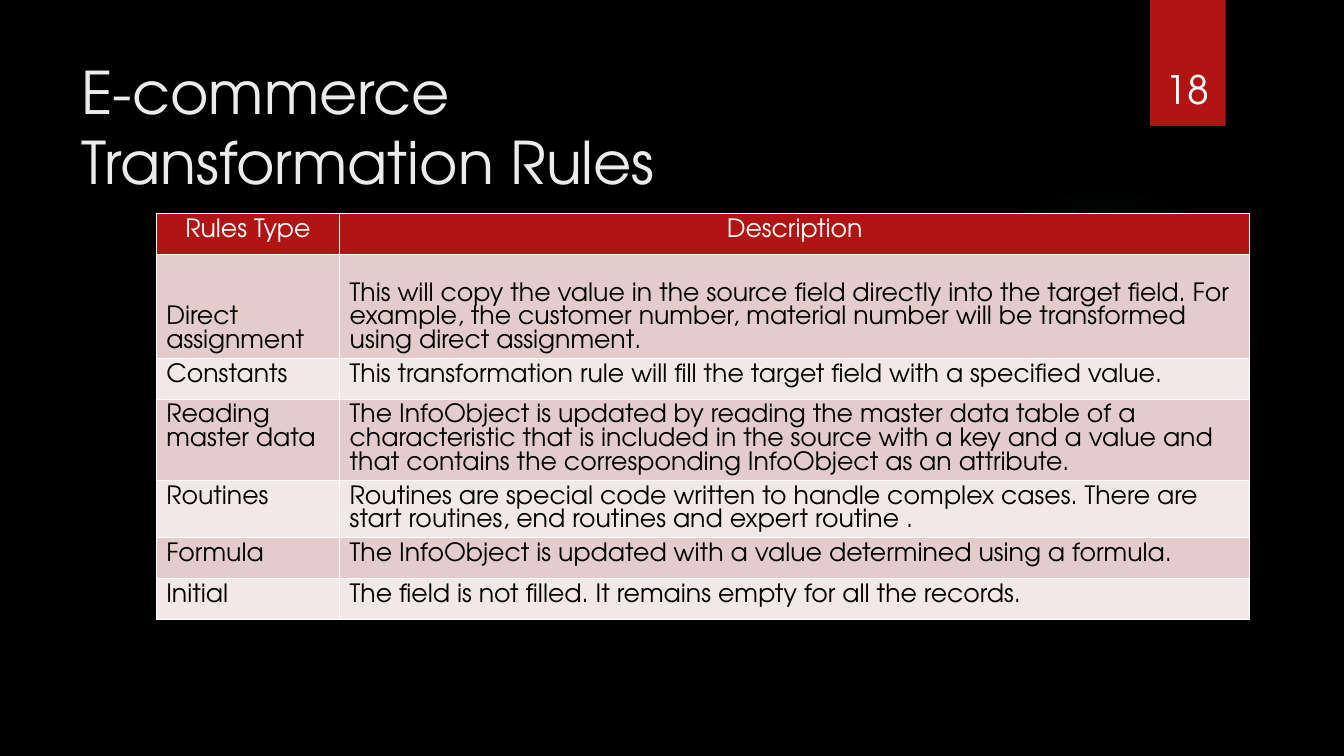
from lxml import etree
from pptx import Presentation
from pptx.dml import color
from pptx.enum import shapes, text
from pptx.oxml import ns, parse_xml
from pptx.util import Pt

FACE = "TeX Gyre Adventor"
RED, WHITE, BLACK = "B01513", "FFFFFF", "000000"
BANDS = ["E4CCCC", "F2E8E7"]
LEAD = 16.9  # line pitch in the table
TOP, LOW = text.MSO_ANCHOR.TOP, text.MSO_ANCHOR.BOTTOM
LEFT, MID = text.PP_ALIGN.LEFT, text.PP_ALIGN.CENTER

# Rule type, description, row height, anchor
RULES = [
    ("Direct assignment", "This will copy the value in the source field directly into the "
     "target field. For example, the customer number, material number will be transformed "
     "using direct assignment.", 74.4, LOW),
    ("Constants", "This transformation rule will fill the target field with a specified "
     "value.", 29.2, TOP),
    ("Reading master data", "The InfoObject is updated by reading the master data table of a "
     "characteristic that is included in the source with a key and a value and that contains "
     "the corresponding InfoObject as an attribute.", 57.9, TOP),
    ("Routines", "Routines are special code written to handle complex cases. There are "
     "start routines, end routines and expert routine .", 41, TOP),
    ("Formula", "The InfoObject is updated with a value determined using a formula.", 29.2, TOP),
    ("Initial", "The field is not filled. It remains empty for all the records.", 29.2, TOP),
]


def paint(fill, tone):
    fill.solid()
    fill.fore_color.rgb = color.RGBColor.from_string(tone)


def style(obj, form):
    for key, val in form.items():
        setattr(obj, key, val)


def write(frame, words, size, tone, align=LEFT, lead=None):
    para = frame.paragraphs[0]
    style(para, {"alignment": align, "line_spacing": Pt(lead) if lead else None})
    for i, line in enumerate(words.split("\n")):
        if i:
            para.add_line_break()
        run = para.add_run()
        style(run, {"text": line})
        style(run.font, {"name": FACE, "size": Pt(size), "bold": False})
        paint(run.font.fill, tone)


def label(slide, box, words, size, tone, align, anchor):
    frame = slide.shapes.add_textbox(*map(Pt, box)).text_frame
    style(frame, {"word_wrap": True, "vertical_anchor": anchor})
    write(frame, words, size, tone, align)


def block(slide, kind, box):
    shape = slide.shapes.add_shape(kind, *map(Pt, box))
    shape.shadow.inherit = False
    shape.line.fill.background()
    return shape


def glow(slide, box):
    """Faint round light that fades towards its rim."""
    shape = block(slide, shapes.MSO_SHAPE.OVAL, box)
    stops = "".join(
        f'<a:gs pos="{pos}000"><a:srgbClr val="50B9C1"><a:alpha val="{part}000"/>'
        "</a:srgbClr></a:gs>" for pos, part in [(0, 7), (36, 6), (69, 0)])
    shape.fill.background()
    props = shape.element.spPr
    props.replace(props.find(ns.qn("a:noFill")), parse_xml(
        f'<a:gradFill {ns.nsdecls("a")}><a:gsLst>{stops}</a:gsLst><a:path path="circle">'
        '<a:fillToRect l="50000" t="50000" r="50000" b="50000"/></a:path></a:gradFill>'))


def badge(slide, box, number):
    """Red tab with the slide number."""
    left, top, wide, high = box
    paint(block(slide, shapes.MSO_SHAPE.RECTANGLE, box).fill, RED)
    label(slide, (left - 6.3, top + 23, wide + 12.2, high - 29.5),
          number, 28, WHITE, MID, LOW)


def edge(cell):
    """White hairlines on all four sides, placed before the fill."""
    props = cell._tc.get_or_add_tcPr()
    for i, side in enumerate("LRTB"):
        line = etree.Element(ns.qn(f"a:ln{side}"), w=str(Pt(1)))
        solid = etree.SubElement(line, ns.qn("a:solidFill"))
        etree.SubElement(solid, ns.qn("a:srgbClr"), val=WHITE)
        props.insert(i, line)


def grid(slide, box, split):
    """Table of rules: red header, then rows in two tones."""
    left, top, wide, head = box
    rows = [("Rules Type", "Description", head, TOP)] + RULES
    high = sum(row[2] for row in rows)
    table = slide.shapes.add_table(len(rows), 2, *map(Pt, (left, top, wide, high))).table
    style(table, {"first_row": False, "horz_banding": False})
    for col, span in zip(table.columns, (split, wide - split)):
        col.width = Pt(span)
    for r, (*words, tall, anchor) in enumerate(rows):
        table.rows[r].height = Pt(tall)
        fill, tone, align = (BANDS[(r - 1) % 2], BLACK, LEFT) if r else (RED, WHITE, MID)
        for c, line in enumerate(words):
            cell = table.cell(r, c)
            cell.vertical_anchor = anchor
            paint(cell.fill, fill)
            edge(cell)
            write(cell.text_frame, line, 18, tone, align, LEAD)


def main():
    deck = Presentation()
    style(deck, {"slide_width": Pt(960), "slide_height": Pt(540)})
    slide = deck.slides.add_slide(deck.slide_layouts[6])
    paint(slide.background.fill, BLACK)
    glow(slide, (677.5, 131.8, 221.8, 221.8))
    label(slide, (51, 36, 741, 110), "E-commerce\nTransformation Rules",
          42, "EBEBEB", LEFT, TOP)
    grid(slide, (111.6, 152.3, 781.2, 29.2), 131)
    badge(slide, (821.5, 0, 54, 90), "18")
    deck.save("out.pptx")


if __name__ == "__main__":
    main()
